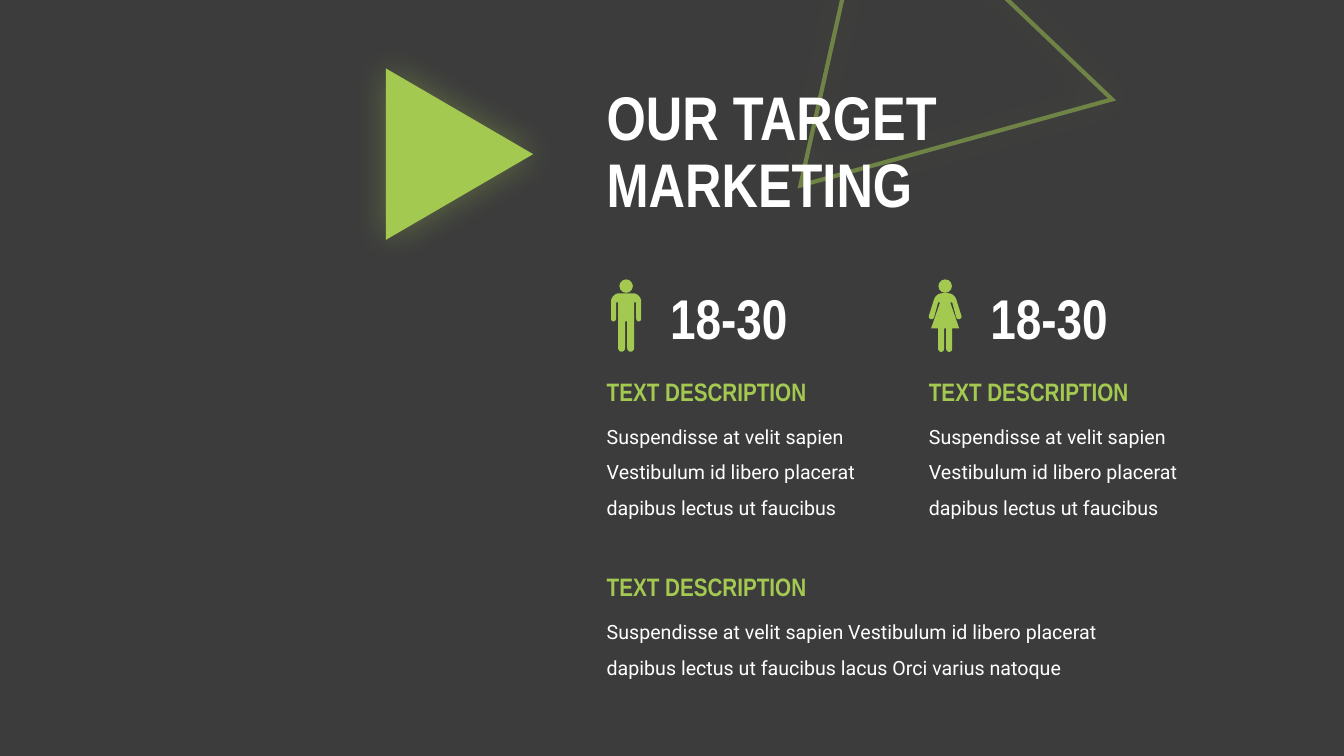
from pptx import Presentation
from pptx.dml.color import RGBColor
from pptx.enum.shapes import MSO_SHAPE
from pptx.enum.text import MSO_ANCHOR, MSO_AUTO_SIZE
from pptx.oxml.xmlchemy import OxmlElement
from pptx.util import Cm, Pt

GREEN = RGBColor(0xA3, 0xC9, 0x51)
WHITE = RGBColor(0xFF, 0xFF, 0xFF)
CHARCOAL = RGBColor(0x3C, 0x3C, 0x3C)

FORMATS = {
    "title": {"name": "Arial Narrow", "size": Pt(44), "bold": True},
    "age": {"name": "Arial Narrow", "size": Pt(40), "bold": True},
    "heading": {"name": "Arial Narrow", "size": Pt(18), "bold": True},
    "body": {"name": "Roboto", "size": Pt(14), "bold": False},
}
COLORS = {"title": WHITE, "age": WHITE, "heading": GREEN, "body": WHITE}
LINE_SPACING = {"title": 0.9, "age": 1.0, "heading": 1.0, "body": 1.5}

MAN_HALF = [
    (0, 0), (7, 0), (11, 0, 15, 4, 15, 8), (15, 25),
    (15, 29, 10, 29, 10, 25), (10, 9), (8, 9), (8, 54),
    (8, 59.3, 1, 59.3, 1, 54), (1, 28), (0, 28),
]
WOMAN_HALF = [
    (0, 0), (3, 0), (5, 0, 9, 1, 11, 6), (16, 22),
    (17.5, 26, 12, 27, 11, 24), (7, 9), (5, 9), (14, 35), (7, 35), (7, 55),
    (7, 59.3, 1, 59.3, 1, 55), (1, 35), (0, 35),
]
DESCRIPTION = "Suspendisse at velit sapien Vestibulum id libero placerat dapibus lectus ut faucibus"


def trace(steps, samples=8):
    """Turn lines (2 numbers) and cubic curves (6 numbers) into points."""
    points = []
    for step in steps:
        if len(step) == 2:
            points.append(step)
            continue
        controls = [points[-1], step[:2], step[2:4], step[4:]]
        for index in range(1, samples + 1):
            t = index / samples
            weights = [(1 - t) ** 3, 3 * t * (1 - t) ** 2, 3 * t * t * (1 - t), t ** 3]
            points.append(tuple(
                sum(weight * control[axis] for weight, control in zip(weights, controls))
                for axis in (0, 1)))
    return points


class SlideBuilder:
    """Holds the style and the current slide."""

    def __init__(self, slide):
        self.slide = slide
        background = slide.background.fill
        background.solid()
        background.fore_color.rgb = CHARCOAL

    def set_alpha(self, color_element, percent):
        """Make a colour element partly transparent."""
        alpha = OxmlElement("a:alpha")
        alpha.set("val", str(percent * 1000))
        color_element.append(alpha)

    def paint(self, shape):
        """Fill a shape in green without line or shadow."""
        shape.shadow.inherit = False
        shape.fill.solid()
        shape.fill.fore_color.rgb = GREEN
        shape.line.fill.background()

    def add_triangle(self, left, top, width, height, rotation, outlined=False):
        """Add a glowing triangle, filled or outlined."""
        shape = self.slide.shapes.add_shape(
            MSO_SHAPE.ISOSCELES_TRIANGLE, Cm(left), Cm(top), Cm(width), Cm(height))
        shape.rotation = rotation
        self.paint(shape)
        properties = shape._element.spPr
        if outlined:
            shape.fill.background()
            shape.line.color.rgb = GREEN
            shape.line.width = Pt(3)
            line = properties.find("{*}ln")
            self.set_alpha(line.find(".//{*}srgbClr"), 50)
            miter = OxmlElement("a:miter")
            miter.set("lim", "800000")
            line.append(miter)
        shadow = OxmlElement("a:outerShdw")
        for key, value in {"blurRad": Pt(25), "algn": "ctr", "rotWithShape": 0}.items():
            shadow.set(key, str(value))
        color = OxmlElement("a:srgbClr")
        color.set("val", str(GREEN))
        self.set_alpha(color, 35)
        shadow.append(color)
        properties.find("{*}effectLst").append(shadow)

    def add_person(self, center, half_outline):
        """Add a grouped head and symmetric body."""
        group = self.slide.shapes.add_group_shape()
        head = group.shapes.add_shape(
            MSO_SHAPE.OVAL, Cm(center - 0.17), Cm(7.04), Cm(0.34), Cm(0.34))
        right = trace(half_outline)
        left = [(-x, y) for x, y in reversed(right[1:-1])]
        points = [(x * 10, y * 10) for x, y in right + left]
        builder = group.shapes.build_freeform(*points[0], scale=Cm(0.00254))
        builder.add_line_segments(points[1:], close=True)
        body = builder.convert_to_shape(Cm(center), Cm(7.39))
        for shape in (head, body):
            self.paint(shape)

    def add_text(self, style, text, left, top, width, height):
        """Add a wrapped text box in a named style."""
        box = self.slide.shapes.add_textbox(Cm(left), Cm(top), Cm(width), Cm(height))
        frame = box.text_frame
        is_title = style == "title"
        frame_format = {
            "word_wrap": True,
            "auto_size": MSO_AUTO_SIZE.NONE if is_title else MSO_AUTO_SIZE.SHAPE_TO_FIT_TEXT,
            "vertical_anchor": MSO_ANCHOR.MIDDLE if is_title else MSO_ANCHOR.TOP,
        }
        for key, value in frame_format.items():
            setattr(frame, key, value)
        paragraph = frame.paragraphs[0]
        paragraph.text = text
        paragraph.line_spacing = LINE_SPACING[style]
        for run in paragraph.runs:
            for key, value in FORMATS[style].items():
                setattr(run.font, key, value)
            run.font.color.rgb = COLORS[style]

    def add_description(self, text, left, top, width, height):
        """Add a heading with body text below it."""
        self.add_text("body", text, left, top + 0.94, width, height)
        self.add_text("heading", "TEXT DESCRIPTION", left, top, 6.22, 1.02)


def main():
    """Build and save the slide."""
    presentation = Presentation()
    presentation.slide_width = Cm(33.87)
    presentation.slide_height = Cm(19.05)
    builder = SlideBuilder(presentation.slides.add_slide(presentation.slide_layouts[6]))

    builder.add_triangle(18.39, -1.35, 8.38, 6.99, 223.6, outlined=True)
    builder.add_text("title", "OUR TARGET\vMARKETING", 15.04, 1.88, 14.27, 4.01)
    builder.add_triangle(9.42, 2.03, 4.32, 3.71, 90)

    audiences = [(15.04, 15.78, 16.64, MAN_HALF), (23.16, 23.82, 24.71, WOMAN_HALF)]
    for left, center, age_left, half_outline in audiences:
        builder.add_person(center, half_outline)
        builder.add_description(DESCRIPTION, left, 9.35, 7.26, 2.84)
        builder.add_text("age", "18-30", age_left, 7.01, 4.55, 1.96)
    builder.add_description(
        DESCRIPTION + " lacus Orci varius natoque", 15.04, 14.27, 13.03, 1.96)

    presentation.save("out.pptx")


if __name__ == "__main__":
    main()
